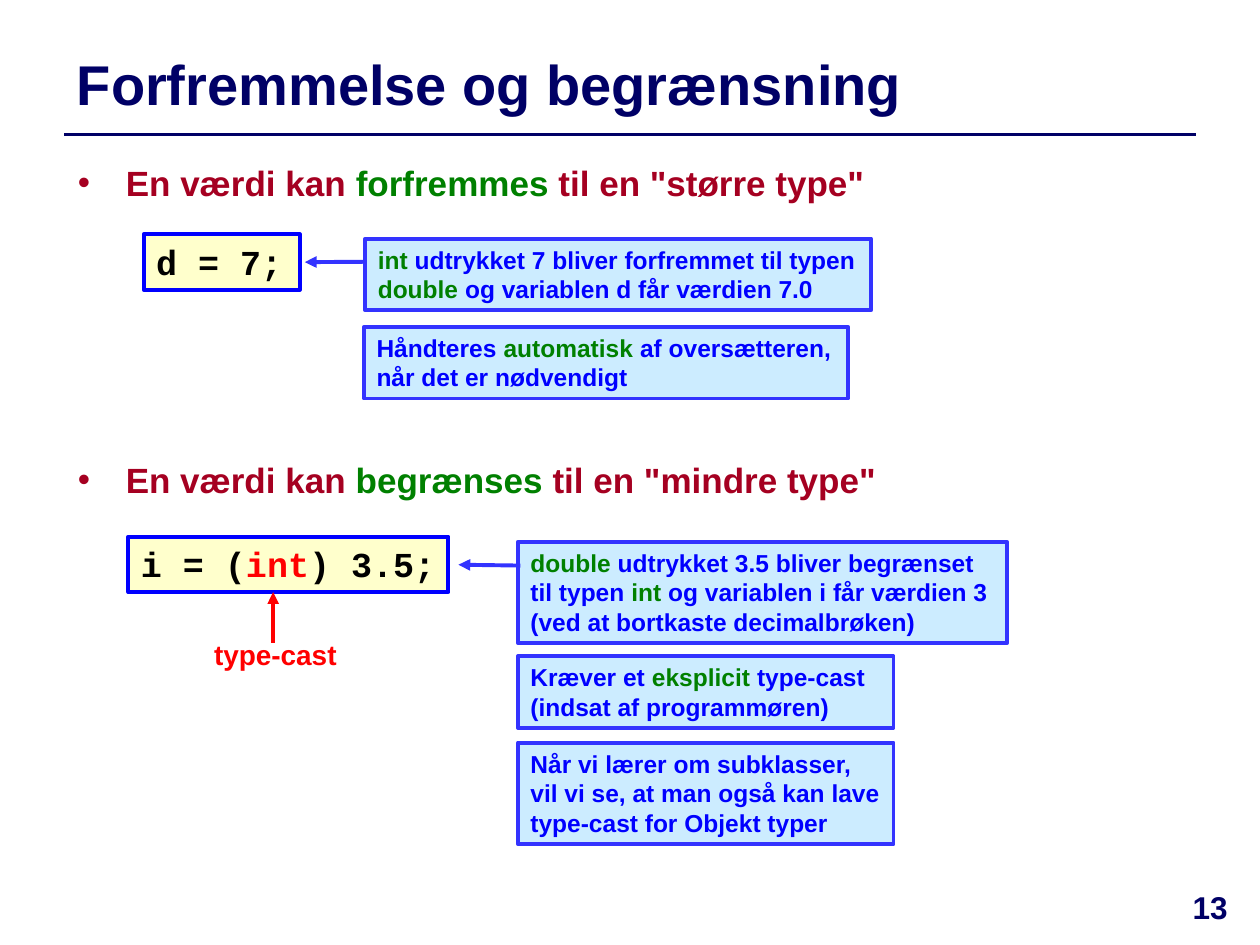
from lxml import etree
from pptx import Presentation
from pptx.dml.color import RGBColor
from pptx.enum import shapes, text
from pptx.oxml.ns import qn
from pptx.util import Pt

NAVY = RGBColor(0x00, 0x00, 0x66)
CRIMSON = RGBColor(0xA5, 0x00, 0x21)
GREEN = RGBColor(0x00, 0x80, 0x00)
BLUE = RGBColor(0x00, 0x00, 0xFF)
EDGE = RGBColor(0x33, 0x33, 0xFF)
RED = RGBColor(0xFF, 0x00, 0x00)
BLACK = RGBColor(0x00, 0x00, 0x00)
WHITE = RGBColor(0xFF, 0xFF, 0xFF)
PALE_BLUE = RGBColor(0xCC, 0xEC, 0xFF)
PALE_YELLOW = RGBColor(0xFF, 0xFF, 0xCC)

TITLE = [("Forfremmelse og begrænsning", NAVY)]

BULLETS = [
    ((37.4, 88.6, 577.4, 45.4),
     [("En værdi kan ", CRIMSON), ("forfremmes", GREEN),
      (' til en "større type"', CRIMSON)]),
    ((37.4, 258.5, 593.3, 36.7),
     [("En værdi kan ", CRIMSON), ("begrænses", GREEN),
      (' til en "mindre type"', CRIMSON)]),
]

CODE = [
    ((82.1, 133.9, 89.3, 31.7), [("d = 7;", BLACK)]),
    ((73.4, 306.7, 182.9, 31.7),
     [("i = (", BLACK), ("int", RED), (") 3.5;", BLACK)]),
]

NOTES = [
    ((208.8, 136.4, 289, 41),
     [("int", GREEN), (" udtrykket 7 bliver forfremmet til typen ", BLUE),
      ("double", GREEN), (" og variablen d får værdien 7.0", BLUE)]),
    ((208.1, 186.8, 276.5, 41),
     [("Håndteres ", BLUE), ("automatisk", GREEN),
      (" af oversætteren,\nnår det er nødvendigt", BLUE)]),
    ((296, 309.6, 279.4, 58),
     [("double", GREEN), (" udtrykket 3.5 bliver begrænset til typen ", BLUE),
      ("int", GREEN),
      (" og variablen i får værdien 3\n(ved at bortkaste decimalbrøken)", BLUE)]),
    ((296, 375, 214.6, 41),
     [("Kræver et ", BLUE), ("eksplicit", GREEN),
      (" type-cast (indsat af programmøren)", BLUE)]),
    ((296, 424.4, 214.6, 58),
     [("Når vi lærer om subklasser, vil vi se, at man også kan lave "
       "type-cast for Objekt typer", BLUE)]),
]

LABELS = [
    ((115.2, 360.7, 87.1, 26.6), [("type-cast", RED)], 16, text.PP_ALIGN.LEFT),
    ((663.1, 504, 56.9, 36), [("13", NAVY)], 18, text.PP_ALIGN.CENTER),
]

ARROWS = [
    ((208.8, 149.6, 174.2, 149.8), EDGE),
    ((297.4, 323.2, 262, 322.7), EDGE),
    ((156.1, 367.2, 156.1, 338.4), RED),
]


def write(sp, runs, size, font="Arial", align=text.PP_ALIGN.LEFT,
          anchor=text.MSO_ANCHOR.TOP):
    tf = sp.text_frame
    tf.word_wrap = True
    tf.auto_size = text.MSO_AUTO_SIZE.NONE
    tf.vertical_anchor = anchor
    tf.margin_left = tf.margin_right = Pt(7.2)
    tf.margin_top = tf.margin_bottom = Pt(3.6)
    p = tf.paragraphs[0]
    p.alignment = align
    for words, color in runs:
        for i, line in enumerate(words.split("\n")):
            if i:
                p.add_line_break()
            r = p.add_run()
            r.text = line
            r.font.name = font
            r.font.size = Pt(size)
            r.font.bold = True
            r.font.color.rgb = color
    return p


def add_box(s, box, fill, edge=None):
    sp = s.shapes.add_shape(shapes.MSO_SHAPE.RECTANGLE, *map(Pt, box))
    sp.shadow.inherit = False
    sp.fill.solid()
    sp.fill.fore_color.rgb = fill
    if edge is None:
        sp.line.fill.background()
    else:
        sp.line.color.rgb = edge
        sp.line.width = Pt(2.25)
    return sp


def add_bullet(p, indent=27.4):
    pPr = p._p.get_or_add_pPr()
    pPr.set("marL", str(Pt(indent)))
    pPr.set("indent", str(-Pt(indent)))
    etree.SubElement(pPr, qn("a:buFont")).set("typeface", "Arial")
    etree.SubElement(pPr, qn("a:buChar")).set("char", "•")


def add_line(s, ends, color, width, arrow=False):
    c = s.shapes.add_connector(shapes.MSO_CONNECTOR.STRAIGHT, *map(Pt, ends))
    c.line.color.rgb = color
    c.line.width = Pt(width)
    if arrow:
        etree.SubElement(c.line._get_or_add_ln(), qn("a:tailEnd")).set("type", "triangle")
    etree.SubElement(c._element.spPr, qn("a:effectLst"))


def main():
    prs = Presentation()
    prs.slide_width, prs.slide_height = Pt(720), Pt(540)
    s = prs.slides.add_slide(prs.slide_layouts[5])

    add_line(s, (36.7, 77, 683.3, 77), NAVY, 2)
    title = s.shapes.title
    title.left, title.top, title.width, title.height = map(Pt, (36.7, 20.2, 646.6, 54))
    write(title, TITLE, 32, anchor=text.MSO_ANCHOR.MIDDLE)

    for box, runs in BULLETS:
        add_bullet(write(add_box(s, box, WHITE), runs, 20))
    for box, runs in NOTES:
        write(add_box(s, box, PALE_BLUE, EDGE), runs, 14)
    for box, runs in CODE:
        write(add_box(s, box, PALE_YELLOW, BLUE), runs, 20, "Courier New")
    for box, runs, size, align in LABELS:
        write(s.shapes.add_textbox(*map(Pt, box)), runs, size, align=align)
    for ends, color in ARROWS:
        add_line(s, ends, color, 2.25, arrow=True)

    prs.save("out.pptx")


if __name__ == "__main__":
    main()
